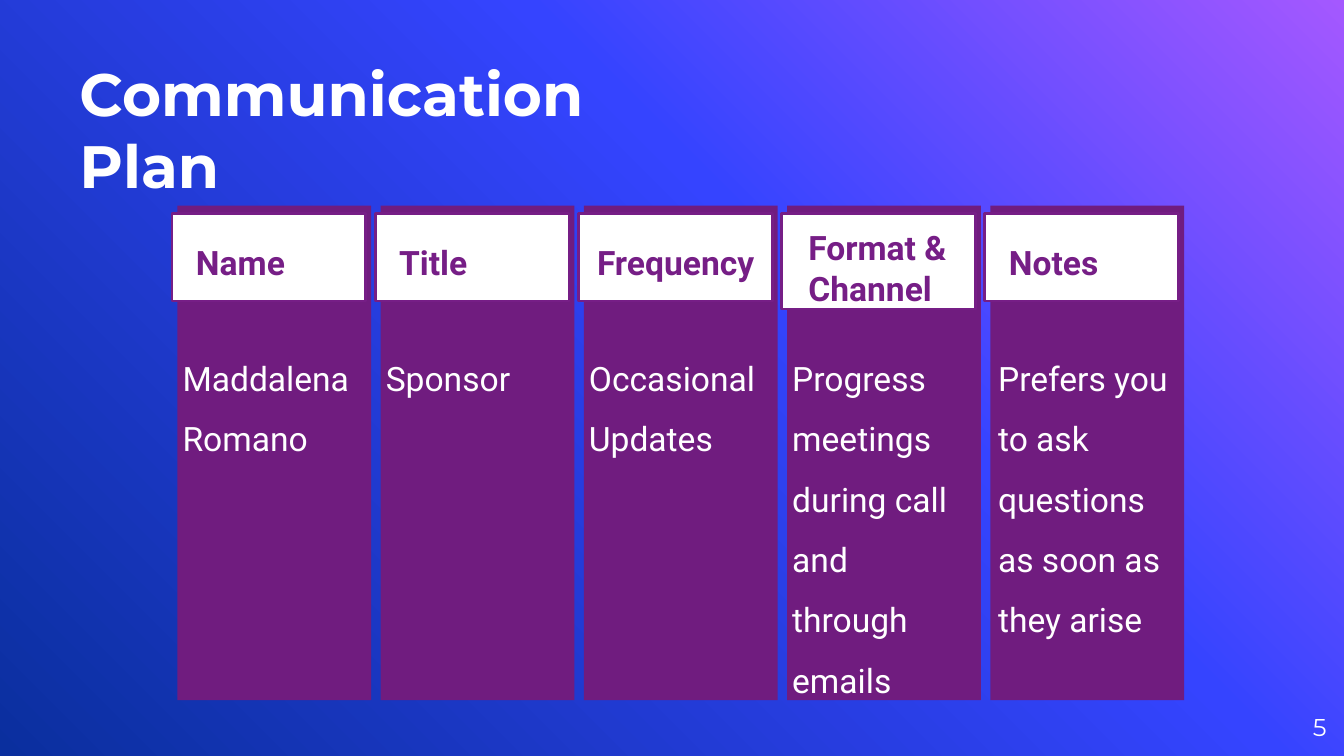
from copy import deepcopy
from pptx import Presentation
from pptx.dml.color import RGBColor
from pptx.enum.shapes import MSO_SHAPE
from pptx.enum.text import MSO_ANCHOR, MSO_AUTO_SIZE, PP_ALIGN
from pptx.util import Inches, Pt

WHITE, PLUM, EDGE = "FFFFFF", "701C7F", "761E86"
STOPS = [(0, "A458FF"), (0.39, "3544FF"), (1, "0A2F9E")]
WIDE, GAP = 10, 0.07
COLUMNS = [
    ("Name", "Maddalena Romano", (0.04, 0.17, 1.29), 0.65, -0.06),
    ("Title", "Sponsor", (0.04, 0.17, 1.29), 0.65, -0.06),
    ("Frequency", "Occasional Updates", (0, 0.17, 1.4), 0.65, -0.06),
    ("Format &\nChannel", "Progress meetings during call and through emails",
     (0.06, 0.06, 1.29), 0.71, -0.06),
    ("Notes", "Prefers you to ask questions as soon as they arise",
     (0.04, 0.17, 1.29), 0.65, -0.04),
]


def paint(color, tone):
    """Set a colour from a hex string."""
    color.rgb = RGBColor.from_string(tone)


def write(shape, text, size, font, tone, bold=False, inset=0,
          anchor=MSO_ANCHOR.TOP, align=PP_ALIGN.LEFT, lead=1.0):
    """Fill a shape with formatted text."""
    frame = shape.text_frame
    frame.text = text
    frame.word_wrap = True
    frame.auto_size = MSO_AUTO_SIZE.NONE
    frame.vertical_anchor = anchor
    frame.margin_left = frame.margin_right = Inches(inset)
    frame.margin_top = frame.margin_bottom = Inches(inset)
    for para in frame.paragraphs:
        para.alignment = align
        para.line_spacing = lead
        for run in para.runs:
            run.font.name, run.font.size, run.font.bold = font, Pt(size), bold
            paint(run.font.color, tone)


def label(shapes, box, text, *look, **more):
    """Add a text box at the given box."""
    area = shapes.add_textbox(*map(Inches, box))
    write(area, text, *look, **more)


def panel(shapes, box, tone, edge=None):
    """Add a plain rectangle with an optional outline."""
    rect = shapes.add_shape(MSO_SHAPE.RECTANGLE, *map(Inches, box))
    rect.shadow.inherit = False
    rect.fill.solid()
    paint(rect.fill.fore_color, tone)
    if edge:
        paint(rect.line.color, edge)
        rect.line.width = Pt(1.5)
    else:
        rect.line.fill.background()


def backdrop(slide):
    """Give the slide its diagonal gradient."""
    fill = slide.background.fill
    fill.gradient()
    fill.gradient_angle = 225
    last = fill.gradient_stops[-1]._gs
    last.addnext(deepcopy(last))
    for stop, (place, tone) in zip(fill.gradient_stops, STOPS):
        stop.position = place
        paint(stop.color, tone)


def heading(slide, box, text):
    """Place and format the title placeholder."""
    title = slide.shapes.title
    title.left, title.top, title.width, title.height = map(Inches, box)
    write(title, text, 32, "Montserrat", WHITE, bold=True,
          anchor=MSO_ANCHOR.BOTTOM)


def column(slide, box, head, body, spot, tall, shift):
    """Draw one column with its header card and body text."""
    x, y, w, h = box
    shapes = slide.shapes.add_group_shape().shapes
    panel(shapes, box, PLUM)
    panel(shapes, (x - 0.04, y + 0.06, w, tall), WHITE, EDGE)
    dx, dy, span = spot
    label(shapes, (x + dx, y + dy, span, 0.61), head, 18, "Roboto", EDGE,
          bold=True, inset=0.1)
    label(shapes, (x + shift, y + 0.88, 1.52, 2.65), body, 18, "Roboto", WHITE,
          inset=0.1, lead=1.5)


def plan(slide, box):
    """Share the box out among evenly spaced columns."""
    x, y, w, h = box
    pitch = (w + GAP) / len(COLUMNS)
    for i, parts in enumerate(COLUMNS):
        column(slide, (x + i * pitch, y, pitch - GAP, h), *parts)


def main():
    """Build and save the slide."""
    deck = Presentation()
    deck.slide_width, deck.slide_height = Inches(WIDE), Inches(WIDE * 9 / 16)
    slide = deck.slides.add_slide(deck.slide_layouts[5])
    backdrop(slide)
    label(slide.shapes, (9.27, 5.19, 0.6, 0.43), "5", 13, "Montserrat", WHITE,
          anchor=MSO_ANCHOR.MIDDLE, align=PP_ALIGN.RIGHT)
    heading(slide, (0.59, 0.95, 4.4, 0.54), "Communication Plan")
    plan(slide, (1.32, 1.53, 7.49, 3.68))
    deck.save("out.pptx")


if __name__ == "__main__":
    main()
